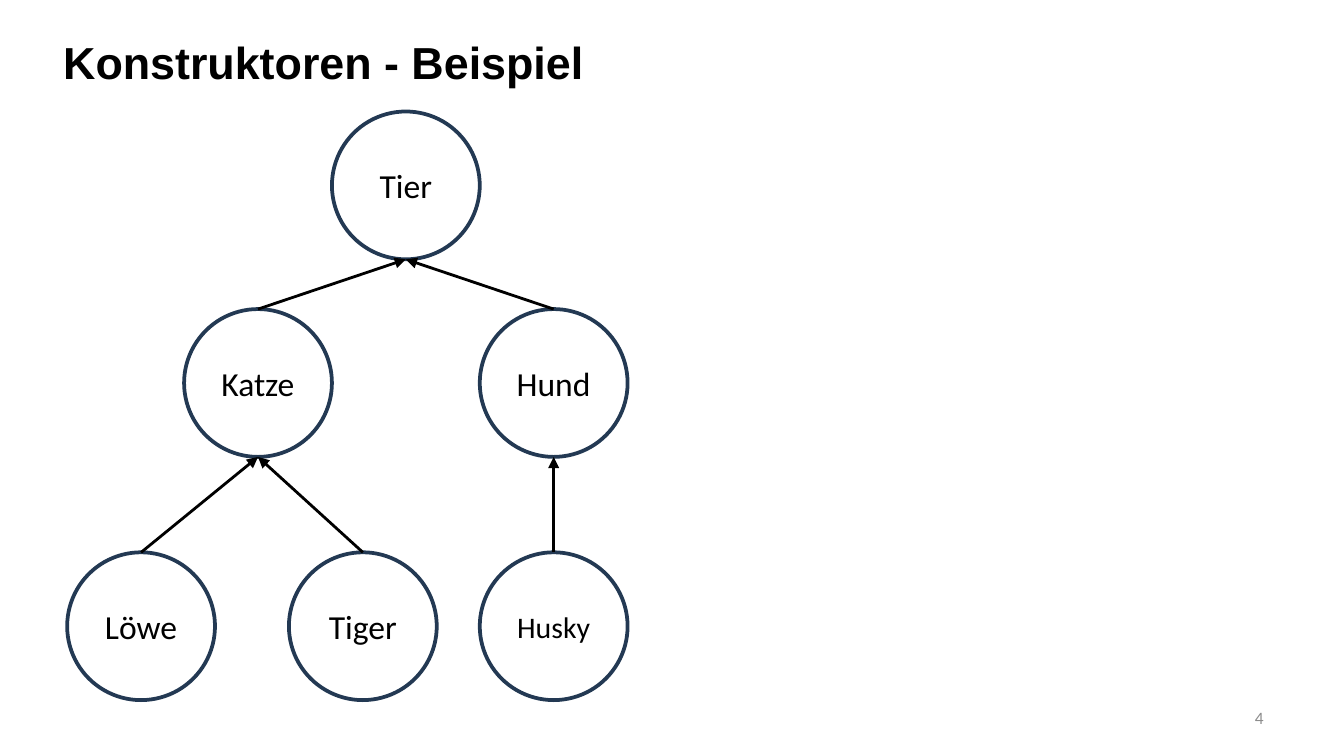
"""Builds a slide with a class hierarchy of animals as a tree of circles."""
from lxml import etree
from pptx import Presentation
from pptx.dml.color import RGBColor
from pptx.enum import shapes, text
from pptx.oxml.ns import qn
from pptx.util import Inches, Pt


def color(hex_code):
    return RGBColor.from_string(hex_code)


def style(paragraph, font_name, size, hex_code, align):
    paragraph.alignment = align
    paragraph.font.name = font_name
    paragraph.font.size = Pt(size)
    paragraph.font.color.rgb = color(hex_code)


prs = Presentation()
prs.slide_width = Inches(10)
prs.slide_height = prs.slide_width * 9 // 16
slide = prs.slides.add_slide(prs.slide_layouts[5])

title = slide.shapes.title
title.left, title.top, title.width, title.height = map(Inches, (0.37, 0.21, 8.78, 0.5))
title.text_frame.text = "Konstruktoren - Beispiel"
title.text_frame.vertical_anchor = text.MSO_ANCHOR.TOP
style(title.text_frame.paragraphs[0], "Arial", 24, "000000", text.PP_ALIGN.LEFT)
title.text_frame.paragraphs[0].font.bold = True

page_number = slide.shapes.add_textbox(Inches(7.17), Inches(5.21), Inches(2.33), Inches(0.3))
page_number.text_frame.word_wrap = True
page_number.text_frame.vertical_anchor = text.MSO_ANCHOR.MIDDLE
number_line = page_number.text_frame.paragraphs[0]
number_line.text = "4"
number_line.line_spacing = 0.7
number_line.space_after = Pt(6)
style(number_line, "Calibri", 9.3, "8C8C8C", text.PP_ALIGN.RIGHT)

DIAMETER = Inches(1.1)
animals = [
    ("Tier", 2.47, 0.83, 18, None),
    ("Katze", 1.37, 2.3, 18, "Tier"),
    ("Hund", 3.57, 2.3, 18, "Tier"),
    ("Husky", 3.57, 4.11, 16, "Hund"),
    ("Löwe", 0.5, 4.11, 18, "Katze"),
    ("Tiger", 2.15, 4.11, 18, "Katze"),
]
circles = {}
for animal, left, top, size, parent in animals:
    circle = slide.shapes.add_shape(
        shapes.MSO_SHAPE.OVAL, Inches(left), Inches(top), DIAMETER, DIAMETER)
    circle.shadow.inherit = False
    circle.fill.solid()
    circle.fill.fore_color.rgb = color("FFFFFF")
    circle.line.color.rgb = color("233953")
    circle.line.width = Pt(2)
    circle.text_frame.text = animal
    circle.text_frame.word_wrap = False
    circle.text_frame.vertical_anchor = text.MSO_ANCHOR.MIDDLE
    style(circle.text_frame.paragraphs[0], "Calibri", size, "000000", text.PP_ALIGN.CENTER)
    circles[animal] = circle

    if parent:
        base = circles[parent]
        arrow = slide.shapes.add_connector(
            shapes.MSO_CONNECTOR.STRAIGHT,
            circle.left + DIAMETER // 2, circle.top,
            base.left + DIAMETER // 2, base.top + DIAMETER)
        arrow.begin_connect(circle, 0)
        arrow.line.color.rgb = color("000000")
        arrow.line.width = Pt(1.5)
        etree.SubElement(arrow.line._get_or_add_ln(), qn("a:tailEnd"), type="triangle")
        etree.SubElement(arrow._element.spPr, qn("a:effectLst"))

prs.save("out.pptx")
